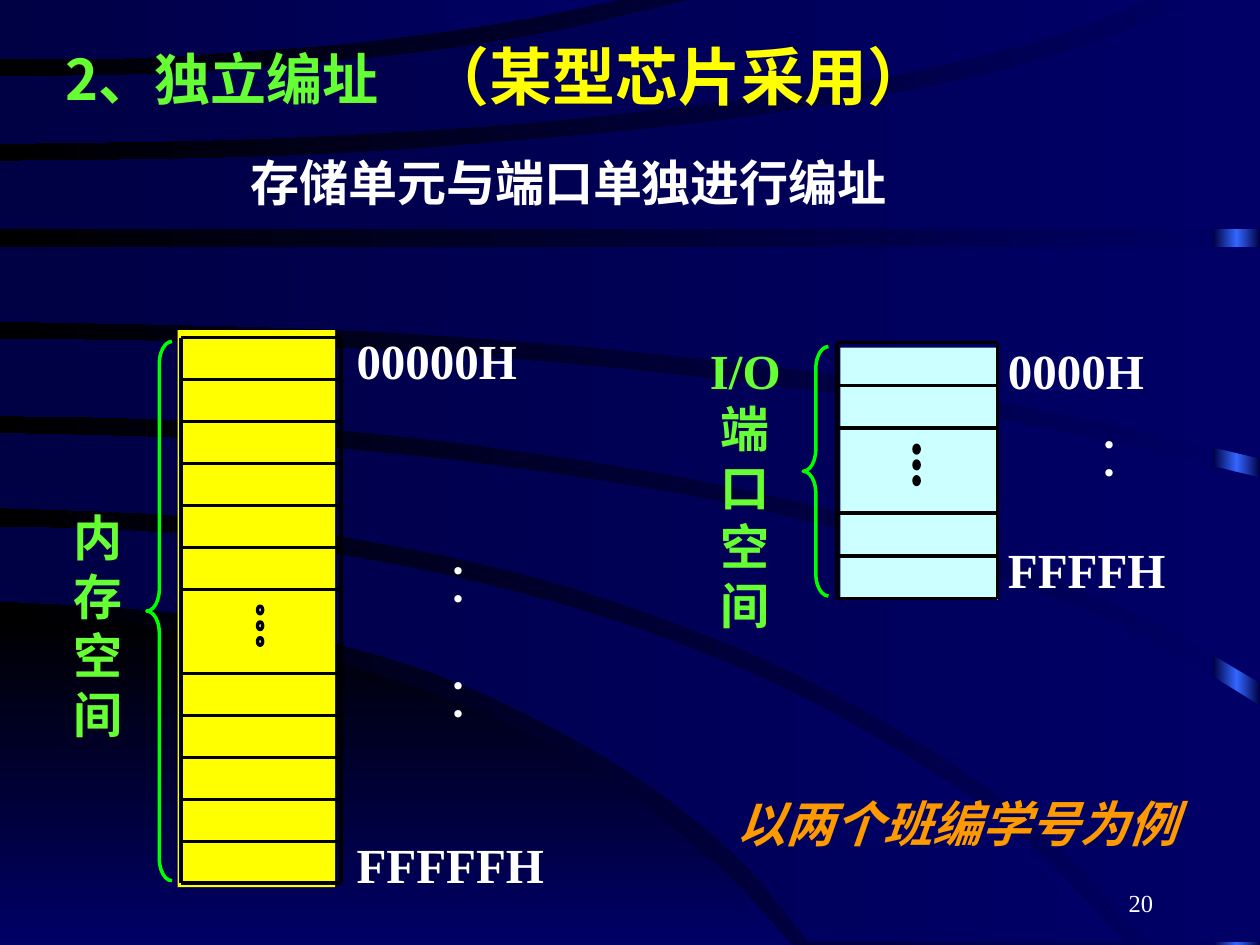
import copy

import lxml.etree
import pptx
import pptx.dml.color
import pptx.enum.shapes
import pptx.enum.text
import pptx.oxml.ns
import pptx.util

COLUMNS, ROWS = 100, 75
CELL = pptx.util.Inches(0.1)
COLORS = {
    "navy": "000066", "deep": "000044", "blue": "3366FF", "black": "000000",
    "white": "FFFFFF", "lime": "66FF33", "green": "00FF00", "yellow": "FFFF00",
    "cyan": "CCFFFF", "orange": "FF9900",
}
SANS, LATO, SERIF = "Noto Sans CJK SC", "Lato", "Times New Roman"
ALIGN = pptx.enum.text.PP_ALIGN
SHAPE = pptx.enum.shapes.MSO_SHAPE
STEPS = 5

VALLEY = [
    [(0, 49.1), (13.9, 50), (27.6, 52.9), (38.6, 56.8), (49.5, 62.7), (57.7, 69.4), (62.8, 75)],
    [(0, 75)],
]
RIBBONS = [
    [[(0, 41.8), (13, 42.3), (24.9, 43.7), (38.2, 46.3), (51.5, 50.2), (64.4, 55.7),
      (76.6, 63), (83.3, 68.5), (89.3, 74.8)],
     [(64.2, 74.8), (58.2, 67.7), (49.2, 60.8), (37.6, 54.7), (26.8, 51.1), (14.8, 48.7), (0, 47.7)]],
    [[(0, 34.4), (14.4, 34.8), (28.9, 35.8), (42.6, 37.4), (57, 39.8), (69.3, 42.8),
      (81.8, 46.8), (90.4, 50.3), (100, 56)],
     [(100, 74.8)],
     [(90.9, 74.8), (83.8, 67), (75.6, 60.6), (63.6, 53.7), (52.1, 48.9), (40.5, 45.3),
      (26.7, 42.5), (14, 40.9), (0, 40.3)]],
    [[(0, 26.9), (16.8, 27.2), (34.9, 28.1), (52.3, 29.6), (71.4, 32), (85.9, 34.6), (100, 37.9)],
     [(100, 54.2), (91.2, 49.2), (81.7, 45.2), (71.1, 41.8), (56, 38.2), (40.6, 35.7),
      (25.5, 34), (10.9, 33.2), (0, 33)]],
    [[(0, 19.6)], [(100, 19.6)],
     [(100, 36.4), (86.5, 33.3), (70.2, 30.3), (55.2, 28.4), (38.9, 26.9), (22.8, 26), (0, 25.5)]],
    [[(0, 18.2)], [(100, 18.2)], [(100, -0.2)],
     [(94.3, -0.2), (89.2, 2.5), (80.3, 5.4), (68.4, 7.9), (55.4, 9.8), (42, 11.1),
      (28.6, 12.1), (15.7, 12.6), (0, 12.8)]],
    [[(0, 6.1), (12.1, 5.9), (23.3, 5.2), (34.7, 4), (44.5, 2.4), (55.6, -0.2)],
     [(91.7, -0.2), (83, 3.1), (74.1, 5.3), (64.8, 7.1), (54.5, 8.4), (42.5, 9.7),
      (30.9, 10.5), (17.7, 11.1), (0, 11.4)]],
    [[(0, -0.2)],
     [(50.1, -0.2), (39.9, 1.8), (28.9, 3.3), (20.2, 4), (10.1, 4.6), (0, 4.7)]],
]


def cells(*values):
    return [round(value * CELL) for value in values]


def rgb(name):
    return pptx.dml.color.RGBColor.from_string(COLORS[name])


def paint_gradient(fill, first, last, angle):
    fill.gradient()
    fill.gradient_angle = angle
    for stop, name, position in zip(fill.gradient_stops, (first, last), (0, 1)):
        stop.color.rgb = rgb(name)
        stop.position = position


def smooth(points):
    if len(points) < 3:
        return points
    padded = [points[0], *points, points[-1]]
    curve = [points[0]]
    for before, start, end, after in zip(padded, padded[1:], padded[2:], padded[3:]):
        for step in range(1, STEPS + 1):
            t = step / STEPS
            curve.append(tuple(
                b + 0.5 * t * (c - a + t * (2 * a - 5 * b + 4 * c - d + t * (3 * b - a - 3 * c + d)))
                for a, b, c, d in zip(before, start, end, after)))
    return curve


def add_ribbon(slide, edges, first, last, angle):
    outline = [cells(*point) for edge in edges for point in smooth(edge)]
    builder = slide.shapes.build_freeform(*outline[0])
    builder.add_line_segments(outline[1:], close=True)
    ribbon = builder.convert_to_shape()
    ribbon.shadow.inherit = False
    ribbon.line.fill.background()
    paint_gradient(ribbon.fill, first, last, angle)


def add_shape(slide, kind, box, fill=None, line=None):
    shape = slide.shapes.add_shape(kind, *cells(*box))
    shape.shadow.inherit = False
    if fill:
        shape.fill.solid()
        shape.fill.fore_color.rgb = rgb(fill)
    else:
        shape.fill.background()
    if line:
        shape.line.color.rgb = rgb(line)
        shape.line.width = pptx.util.Pt(2)
    else:
        shape.line.fill.background()
    return shape


def add_rule(slide, *ends):
    rule = slide.shapes.add_connector(pptx.enum.shapes.MSO_CONNECTOR.STRAIGHT, *cells(*ends))
    rule.line.color.rgb = rgb("black")
    rule.line.width = pptx.util.Pt(2)
    lxml.etree.SubElement(rule._element.spPr, pptx.oxml.ns.qn("a:effectLst"))


def set_font(target, element, size, color, latin, asian, bold=True, italic=False):
    font = target.font
    font.size, font.name, font.bold, font.italic = pptx.util.Pt(size), latin, bold, italic
    font.color.rgb = rgb(color)
    east = lxml.etree.Element(pptx.oxml.ns.qn("a:ea"), typeface=asian)
    element.xpath(".//a:latin")[0].addnext(east)


def add_text(slide, box, lines, size, color, latin=SERIF, asian=LATO, align=ALIGN.LEFT,
             margins=(0, 0), **style):
    shape = slide.shapes.add_textbox(*cells(*box))
    frame = shape.text_frame
    frame.word_wrap = True
    frame.margin_left = frame.margin_right = cells(margins[0])[0]
    frame.margin_top = frame.margin_bottom = cells(margins[1])[0]
    for index, line in enumerate(lines):
        paragraph = frame.add_paragraph() if index else frame.paragraphs[0]
        paragraph.add_run().text = line
        paragraph.alignment = align
        set_font(paragraph, paragraph._p, size, color, latin, asian, **style)
    return frame


def add_backdrop(slide):
    paint_gradient(slide.background.fill, "navy", "black", 180)
    edge = add_shape(slide, SHAPE.RECTANGLE, (96.3, 0, 3.7, ROWS), "deep")
    paint_gradient(edge.fill, "deep", "deep", 180)
    stops = edge._element.xpath(".//a:gsLst")[0]
    stops.insert(1, copy.deepcopy(stops[0]))
    edge.fill.gradient_stops[1].position = 0.5
    edge.fill.gradient_stops[1].color.rgb = rgb("blue")
    add_ribbon(slide, VALLEY, "black", "navy", 270)
    for edges in RIBBONS:
        add_ribbon(slide, edges, "navy", "deep", 180)


def add_heading(slide, box):
    frame = add_text(slide, box, [], 32, "lime", margins=(1, 0.5))
    title, subtitle = frame.paragraphs[0], frame.add_paragraph()
    tabs = lxml.etree.SubElement(title._p.get_or_add_pPr(), pptx.oxml.ns.qn("a:tabLst"))
    lxml.etree.SubElement(tabs, pptx.oxml.ns.qn("a:tab"), pos=str(cells(28.7)[0]), algn="l")
    for text, size, color, latin in (("2、独立编址\t", 32, "lime", SANS),
                                     ("（某型芯片采用）", 36, "yellow", LATO)):
        run = title.add_run()
        run.text = text
        set_font(run, run._r, size, color, latin, latin)
    subtitle.add_run().text = "存储单元与端口单独进行编址"
    subtitle.space_before = pptx.util.Pt(22.5)
    subtitle._p.get_or_add_pPr().set("marL", str(cells(14.7)[0]))
    subtitle._p.get_or_add_pPr().set("indent", "0")
    set_font(subtitle, subtitle._p, 28, "white", SANS, SANS)


def add_bank(slide, box, fill_box, rows, gap_row, fill, dot_fill):
    left, top, width, height = box
    right, bottom = left + width, top + height
    add_shape(slide, SHAPE.RECTANGLE, fill_box, fill)
    for x in (left, right):
        add_rule(slide, x, top, x, bottom)
    for row in range(rows + 1):
        if row != gap_row:
            y = top + height * row / rows
            add_rule(slide, left, y, right, y)
    middle = top + height * gap_row / rows
    for dot in range(3):
        add_shape(slide, SHAPE.OVAL, (left + 0.48 * width, middle - 2 + 1.25 * dot, 0.4, 0.6),
                  dot_fill, "black")
    brace = add_shape(slide, SHAPE.LEFT_BRACE, (left - 2.7, top + 0.3, 2, height - 0.5), None, "green")
    brace.adjustments[0] = 0.88


def add_labels(slide, left, ends, dots_left, dots_tops):
    for text, top in ends:
        add_text(slide, (left, top, 15, 4.7), [text], 28, "white")
    for top in dots_tops:
        add_text(slide, (dots_left, top, 3.3, 5.3), ["︰"], 32, "white", bold=False)


def main():
    presentation = pptx.Presentation()
    presentation.slide_width, presentation.slide_height = cells(COLUMNS, ROWS)
    slide = presentation.slides.add_slide(presentation.slide_layouts[6])
    add_backdrop(slide)
    add_heading(slide, (4.2, 2.5, 82.5, 16.2))

    add_bank(slide, (14.35, 26.8, 12.7, 43.3), (14.1, 26.2, 12.5, 44.2), 13, 7, "yellow", "white")
    add_text(slide, (5.8, 40.3, 4.2, 20.8), "内存空间", 28, "lime")
    add_labels(slide, 28.3, [("00000H", 26.2), ("FFFFFH", 66.2)], 34.2, [43.7, 52.8])

    add_bank(slide, (66.45, 27.2, 12.7, 20.3), (66.7, 27.6, 12.5, 20), 6, 3, "cyan", "black")
    add_text(slide, (55.8, 27, 6.7, 23.3), ["I/O端口", "空", "间"], 28, "lime", align=ALIGN.CENTER)
    add_labels(slide, 80, [("0000H", 27), ("FFFFH", 42.8)], 85.8, [33.7])

    add_text(slide, (57.5, 62.5, 40, 5.7), ["以两个班编学号为例"], 28, "orange", SANS, SANS,
             margins=(1, 0.5), italic=True)
    number = add_text(slide, (71.7, 68.3, 20.8, 5), ["20"], 14, "white", align=ALIGN.RIGHT,
                      margins=(1, 0.5), bold=False)
    number.vertical_anchor = pptx.enum.text.MSO_ANCHOR.BOTTOM
    presentation.save("out.pptx")


if __name__ == "__main__":
    main()
